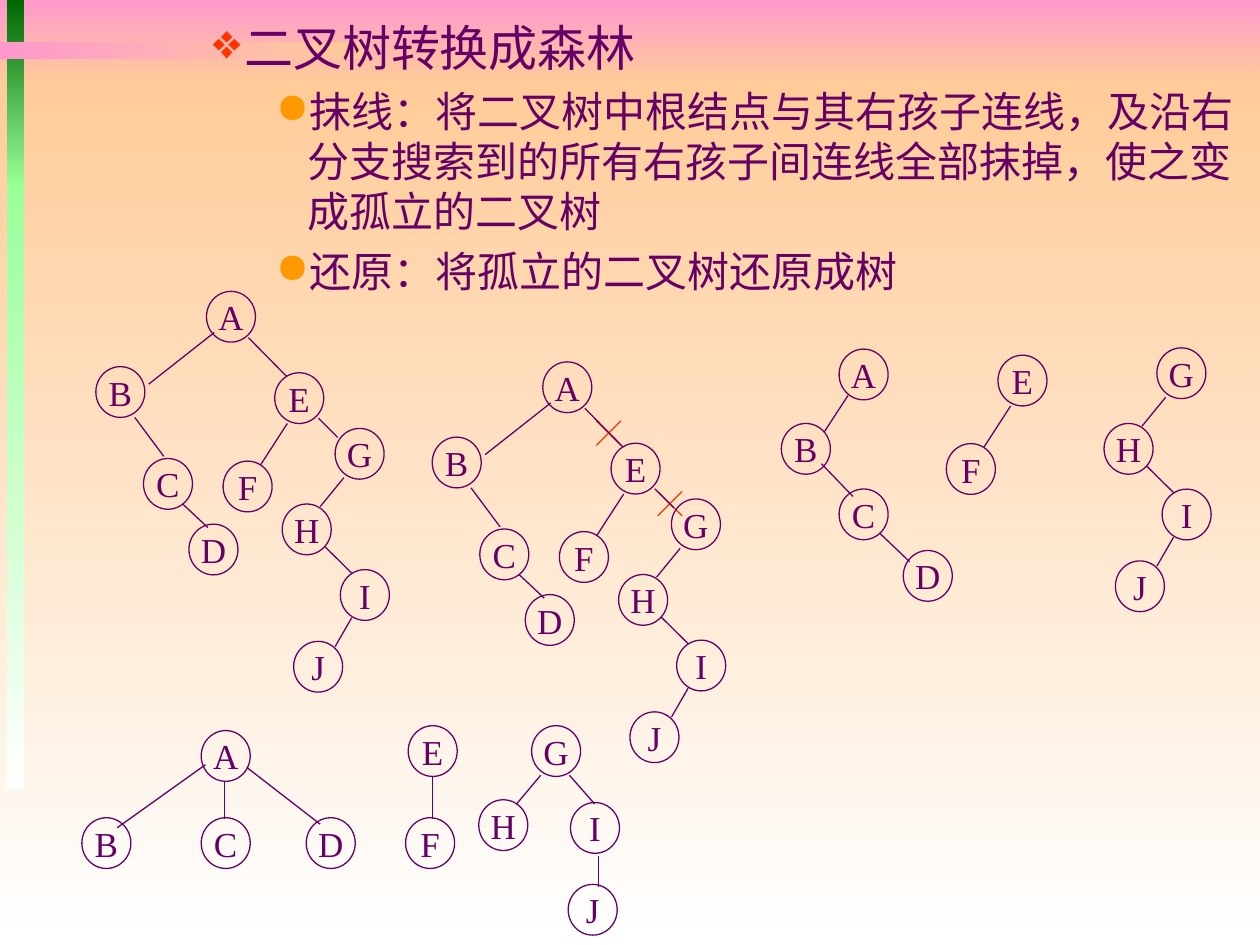
from lxml import etree
from pptx import Presentation
from pptx.dml.color import RGBColor
from pptx.enum import shapes, text
from pptx.oxml.ns import qn
from pptx.util import Pt

PURPLE = RGBColor(0x66, 0x00, 0x66)
RED = RGBColor(0xFF, 0x33, 0x00)
ORANGE = RGBColor(0xFF, 0x99, 0x00)
PINK = RGBColor(0xFF, 0x99, 0xCC)
PEACH = RGBColor(0xFF, 0xCC, 0x99)
DARK_GREEN = RGBColor(0x00, 0x66, 0x00)
LIGHT_GREEN = RGBColor(0x99, 0xFF, 0x99)
WHITE = RGBColor(0xFF, 0xFF, 0xFF)
NODE_W, NODE_H = 28, 29
CROSS = 14

prs = Presentation()
prs.slide_width, prs.slide_height = Pt(720), Pt(540)
slide = prs.slides.add_slide(prs.slide_layouts[6])


def add_line(x1, y1, x2, y2, color=PURPLE):
    line = slide.shapes.add_connector(
        shapes.MSO_CONNECTOR.STRAIGHT, Pt(x1), Pt(y1), Pt(x2), Pt(y2))
    line.line.color.rgb = color
    line.line.width = Pt(0.75)
    etree.SubElement(line._element.spPr, qn("a:effectLst"))


def add_tree(nodes, edges, dx=0, dy=0):
    for letter, x, y in nodes:
        node = slide.shapes.add_shape(
            shapes.MSO_SHAPE.OVAL, Pt(x + dx), Pt(y + dy), Pt(NODE_W), Pt(NODE_H))
        node.shadow.inherit = False
        node.fill.background()
        node.line.color.rgb = PURPLE
        node.line.width = Pt(0.75)
        frame = node.text_frame
        frame.word_wrap = False
        frame.vertical_anchor = text.MSO_ANCHOR.MIDDLE
        label = frame.paragraphs[0]
        label.alignment = text.PP_ALIGN.CENTER
        run = label.add_run()
        run.text = letter
        run.font.name = "Times New Roman"
        run.font.size = Pt(20)
        run.font.color.rgb = PURPLE
    for x1, y1, x2, y2 in edges:
        add_line(x1 + dx, y1 + dy, x2 + dx, y2 + dy)


# Background bands and side bars: left, top, width, height, colours, angle
for x, y, w, h, start, end, angle in [
    (0, 0, 720, 48, PINK, PEACH, 270),
    (0, 48, 720, 492, PEACH, WHITE, 270),
    (4, 0, 10, 106, DARK_GREEN, LIGHT_GREEN, 270),
    (4, 105, 10, 346, LIGHT_GREEN, WHITE, 270),
    (0, 24, 208, 10, PINK, PEACH, 0),
]:
    band = slide.shapes.add_shape(
        shapes.MSO_SHAPE.RECTANGLE, Pt(x), Pt(y), Pt(w), Pt(h))
    band.shadow.inherit = False
    band.line.fill.background()
    band.fill.gradient()
    band.fill.gradient_angle = angle
    for stop, color in zip(band.fill.gradient_stops, (start, end)):
        stop.color.rgb = color

# Heading and the two steps
steps = slide.shapes.add_textbox(Pt(42.5), Pt(6.5), Pt(677.5), Pt(163)).text_frame
steps.word_wrap = True
for i, (level, indent, size, bullet, bullet_color, words) in enumerate([
    (1, 90, 28, "❖", RED, "二叉树转换成森林"),
    (2, 126, 24, "●", ORANGE, "抹线：将二叉树中根结点与其右孩子连线，及沿右分支搜索到的"
                              "所有右孩子间连线全部抹掉，使之变成孤立的二叉树"),
    (2, 126, 24, "●", ORANGE, "还原：将孤立的二叉树还原成树"),
]):
    step = steps.add_paragraph() if i else steps.paragraphs[0]
    step.level = level
    props = step._p.get_or_add_pPr()
    props.set("marL", str(Pt(indent)))
    props.set("indent", str(Pt(-18)))
    bullet_fill = etree.SubElement(props, qn("a:buClr"))
    etree.SubElement(bullet_fill, qn("a:srgbClr"), val=str(bullet_color))
    etree.SubElement(props, qn("a:buChar"), char=bullet)
    if i:
        step.space_before = Pt(5)
    run = step.add_run()
    run.text = words
    run.font.name = "Arial"
    run.font.size = Pt(size)
    run.font.color.rgb = PURPLE

# Parts of the binary tree: nodes (letter, left, top) and edges
part_a = (
    [("A", 118, 166.5), ("B", 54.8, 209.5), ("C", 82, 262), ("D", 108, 299.5)],
    [(77, 238.5, 93.6, 260.8), (104.4, 288, 118.8, 301.5), (122.5, 190, 85, 219.5)],
)
part_e = (
    [("E", 157, 213), ("F", 127.5, 263.5)],
    [(164.2, 242, 149, 265.5)],
)
part_g = (
    [("G", 191.5, 244.8), ("H", 161.3, 288), ("I", 194.5, 325.5), ("J", 167.8, 366.5)],
    [(196.5, 273, 183, 289.5), (185.8, 312.5, 201, 327.5), (201, 353, 191.5, 369.5)],
)
right_links = ([], [(142, 193, 164, 215.3), (182, 239, 193, 250)])

# Whole binary tree, then the same tree with its right links crossed out
for x, y in [(340.8, 240.5), (375.8, 280.8)]:
    add_line(x, y, x + CROSS, y + CROSS, RED)
    add_line(x + CROSS, y, x, y + CROSS, RED)
for dx, dy in [(0, 0), (192.2, 40.3)]:
    for part in (part_a, part_e, part_g, right_links):
        add_tree(*part, dx, dy)

# Isolated binary trees
add_tree(
    [("A", 479.5, 199.5), ("B", 446.5, 242), ("C", 479.5, 279.4), ("D", 516.2, 314.6)],
    [(484.6, 226, 470.9, 247), (469.4, 265, 487.4, 283.7), (502.6, 304.6, 519.8, 321)],
)
add_tree(*part_e, 413.3, -10)
add_tree(*part_g, 469.6, -46)

# Restored forest
add_tree(
    [("A", 115, 417.5), ("B", 46.8, 467.3), ("C", 115, 467.3), ("D", 175, 467.3)],
    [(128.2, 447, 128.2, 468), (117.4, 437, 67, 473), (141, 438.5, 183, 471)],
)
add_tree(
    [("E", 233.3, 414.7), ("F", 231.8, 467.3)],
    [(247, 444.2, 247, 468)],
)
add_tree(
    [("G", 303.8, 414.7), ("H", 273.6, 457), ("I", 326, 458.6), ("J", 324.7, 505.4)],
    [(309, 443, 295.2, 459.4), (325.4, 443, 339.8, 459.4), (342, 489, 342, 507)],
)

prs.save("out.pptx")
